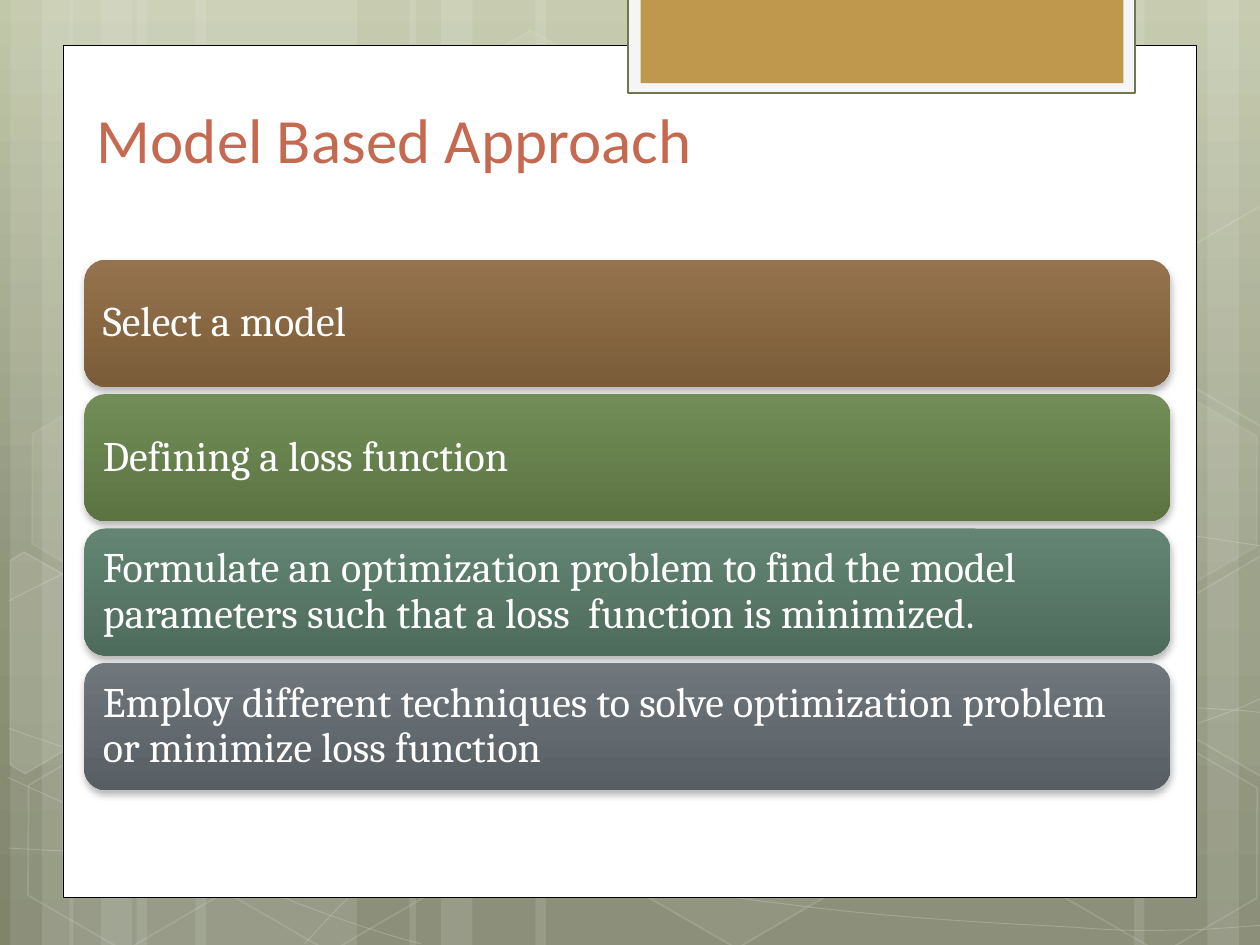
import copy
import pptx
import pptx.util
import pptx.dml.color
import pptx.enum.shapes
import pptx.enum.text
import pptx.oxml.ns
import lxml.etree

Pt = pptx.util.Pt
RGB = pptx.dml.color.RGBColor.from_string
qn = pptx.oxml.ns.qn
kinds = pptx.enum.shapes.MSO_SHAPE
anchor = pptx.enum.text.MSO_ANCHOR
theme = {
    "white": "FFFFFF", "black": "000000", "title": "C66951",
    "frame": "F5F5F5", "edge": "6E774E", "tab": "BF974D",
    "back": [(0, "C1C7A9"), (0.62, "8F957A"), (1, "7F846B")],
    "rows": [("94734E", "7B5C38"), ("738D59", "5B7442"),
             ("648573", "4D6C5B"), ("6F777D", "575F64")],
    "head": ("Calibri", Pt(36)), "body": ("Cambria", Pt(24)),
}


def blend(fill, root, stops):
    fill.gradient()
    fill.gradient_angle = 270
    group = next(root.iter(qn("a:gsLst")))
    while len(group) < len(stops):
        group.append(copy.deepcopy(group[-1]))
    for stop, (place, tone) in zip(fill.gradient_stops, stops):
        stop.position = place
        stop.color.rgb = RGB(tone)


def veil(shape, face, edge, width):
    shape.shadow.inherit = False
    if edge:
        shape.line.width = Pt(width)
    for fill, alpha in ((shape.fill, face), (shape.line.fill, edge)):
        if alpha:
            fill.solid()
            fill.fore_color.rgb = RGB(theme["white"])
        else:
            fill.background()
    alphas = [alpha for alpha in (face, edge) if alpha]
    for tone, alpha in zip(shape._element.spPr.iter(qn("a:srgbClr")), alphas):
        lxml.etree.SubElement(tone, qn("a:alpha"), val=str(alpha * 1000))


deck = pptx.Presentation()
deck.slide_width, deck.slide_height = Pt(720), Pt(540)
slide = deck.slides.add_slide(deck.slide_layouts[5])
shapes = slide.shapes
blend(slide.background.fill, slide._element, theme["back"])

bars = [(78, 126), (6, 36), (24, 60), (111.6, 126), (39.6, 36), (57.6, 60),
        (528, 126), (690, 36), (648, 60), (306, 222), (234, 36), (252, 60)]
for left, width in bars:
    bar = shapes.add_shape(kinds.RECTANGLE, Pt(left), 0, Pt(width), Pt(540))
    veil(bar, 10, 0, 0)

curves = [
    [(5, 484.6), (43.9, 486.7), (82.8, 488.9), (136.8, 488.2), (190.8, 487.4),
     (257.8, 486), (329.8, 478.8), (401.8, 471.6), (504, 457.9), (570.2, 444.2),
     (635.8, 430.6), (703.4, 409), (725, 396.7)],
    [(5, 343.4), (25.9, 332.6), (46.8, 321.1), (87.1, 310.3), (128.2, 299.5),
     (186.5, 283.7), (249.8, 278.6), (313.9, 273.6), (391.7, 272.9), (470.9, 278.6),
     (550.1, 284.4), (681.8, 306.7), (725, 312.5)],
    [(4.3, 444.2), (91.4, 483.8), (177.8, 523.4), (240.5, 539.3)],
    [(5, 416.2), (27.4, 424.1), (50.4, 432), (92.2, 443.5), (133.9, 454.3),
     (196.6, 472.3), (257, 484.6), (316.8, 496.8), (392.4, 509.8), (452.2, 517),
     (511.9, 524.9), (576, 527.8), (614.2, 529.9), (651.6, 532.8), (661.7, 531.4),
     (680.4, 531.4), (699.1, 530.6), (712.1, 529.2), (725, 528.5)],
    [(174.2, 539.3), (187.2, 524.9), (200.2, 510.5), (217.4, 497.5), (234.7, 484.6),
     (259.2, 470.2), (279.4, 460.1), (299.5, 450), (311.8, 445.7), (338.4, 438.5),
     (364.3, 431.3), (412.6, 421.2), (437.8, 416.2), (463.7, 411.1), (467.3, 411.1),
     (489.6, 409.7), (511.9, 407.5), (547.2, 405.4), (571.7, 404.6), (596.9, 403.9),
     (637.9, 404.6), (637.9, 404.6), (637.9, 404.6), (686.2, 404.6), (686.2, 404.6),
     (699.1, 405.4), (712.1, 406.1), (717.8, 406.8), (724.3, 407.5), (722.2, 406.8),
     (724.3, 407.5)],
]
for knots in curves:
    pen = shapes.build_freeform(Pt(knots[0][0]), Pt(knots[0][1]))
    pen.add_line_segments([(Pt(x), Pt(y)) for x, y in knots[1:]], close=False)
    curve = pen.convert_to_shape()
    lines = list(curve._element.iter(qn("a:lnTo")))
    for first in range(0, len(lines), 3):
        bend = lxml.etree.Element(qn("a:cubicBezTo"))
        lines[first].addprevious(bend)
        for line in lines[first:first + 3]:
            bend.append(line[0])
            line.getparent().remove(line)
    veil(curve, 0, 20, 0.5)

cells = [(240.5, 25.9, 4, 8), (357.8, 424.1, 6, 12), (7.9, 425.5, 0, 12),
         (10.1, 224.6, 7, 8), (125.3, 426.2, 0, 12), (542.2, 326.2, 10, 12),
         (600.5, 427, 0, 12), (600.5, 226.1, 7, 8)]
for left, top, face, edge in cells:
    cell = shapes.add_shape(kinds.HEXAGON, Pt(left), Pt(top), Pt(126), Pt(109.4))
    cell.adjustments[0] = 0.285
    cell.rotation = 30
    veil(cell, face, edge, 1)

shards = [
    (10, [(5.8, 320.4), (13.7, 315.4), (69.1, 347), (68.4, 410.4), (14.4, 442.1),
          (5.8, 437)]),
    (4, [(666.7, 349.2), (720.7, 317.5), (726.5, 321.1), (726.5, 441.4),
         (721.4, 444.2), (666.7, 412.6)]),
    (0, [(666.7, 149), (720.7, 117.4), (727.2, 121), (726.5, 241.2),
         (721.4, 244.1), (666.7, 212.4)]),
]
for face, dots in shards:
    pen = shapes.build_freeform(Pt(dots[0][0]), Pt(dots[0][1]))
    pen.add_line_segments([(Pt(x), Pt(y)) for x, y in dots[1:]])
    veil(pen.convert_to_shape(), face, 12, 1)

plates = [(36, 25.9, 648, 487, "white", "black", 0.5),
          (359, -1.4, 289.6, 54.7, "frame", "edge", 1.25),
          (366, -1.4, 276, 48.9, "tab", None, 0)]
for left, top, width, height, face, edge, stroke in plates:
    plate = shapes.add_shape(kinds.RECTANGLE, Pt(left), Pt(top), Pt(width), Pt(height))
    plate.shadow.inherit = False
    plate.fill.solid()
    plate.fill.fore_color.rgb = RGB(theme[face])
    if edge:
        plate.line.color.rgb = RGB(theme[edge])
        plate.line.width = Pt(stroke)
    else:
        plate.line.fill.background()

title = shapes.title
shapes._spTree.append(title._element)
title.left, title.top, title.width, title.height = Pt(48.2), Pt(44.4), Pt(553), Pt(60)
frame = title.text_frame
frame.text = "Model Based Approach"
frame.auto_size = pptx.enum.text.MSO_AUTO_SIZE.NONE
frame.vertical_anchor = anchor.BOTTOM
para = frame.paragraphs[0]
para.alignment = pptx.enum.text.PP_ALIGN.LEFT
para.font.name, para.font.size = theme["head"]
para.font.color.rgb = RGB(theme["title"])

texts = [
    "Select a model",
    "Defining a loss function",
    "Formulate an optimization problem to find the model parameters such that a loss  function is minimized.",
    "Employ different techniques to solve optimization problem or minimize loss function",
]
for row, (text, tones) in enumerate(zip(texts, theme["rows"])):
    card = shapes.add_shape(kinds.ROUNDED_RECTANGLE, Pt(48.2), Pt(148.4 + 76.8 * row),
                            Pt(620.6), Pt(72.6))
    blend(card.fill, card._element, list(zip((0, 1), tones)))
    card.line.fill.background()
    card.shadow.inherit = False
    shade = lxml.etree.SubElement(
        card._element.spPr.find(qn("a:effectLst")), qn("a:outerShdw"),
        blurRad=str(Pt(4)), dist=str(Pt(2)), dir="5400000", rotWithShape="0")
    tone = lxml.etree.SubElement(shade, qn("a:srgbClr"), val=theme["black"])
    lxml.etree.SubElement(tone, qn("a:alpha"), val="28000")
    frame = card.text_frame
    frame.word_wrap = True
    frame.vertical_anchor = anchor.MIDDLE
    frame.margin_left = frame.margin_right = Pt(7.2)
    frame.margin_top = frame.margin_bottom = Pt(7.2)
    frame.text = text
    para = frame.paragraphs[0]
    para.alignment = pptx.enum.text.PP_ALIGN.LEFT
    para.line_spacing = 0.9
    para.font.name, para.font.size = theme["body"]
    para.font.color.rgb = RGB(theme["white"])

deck.save("out.pptx")
